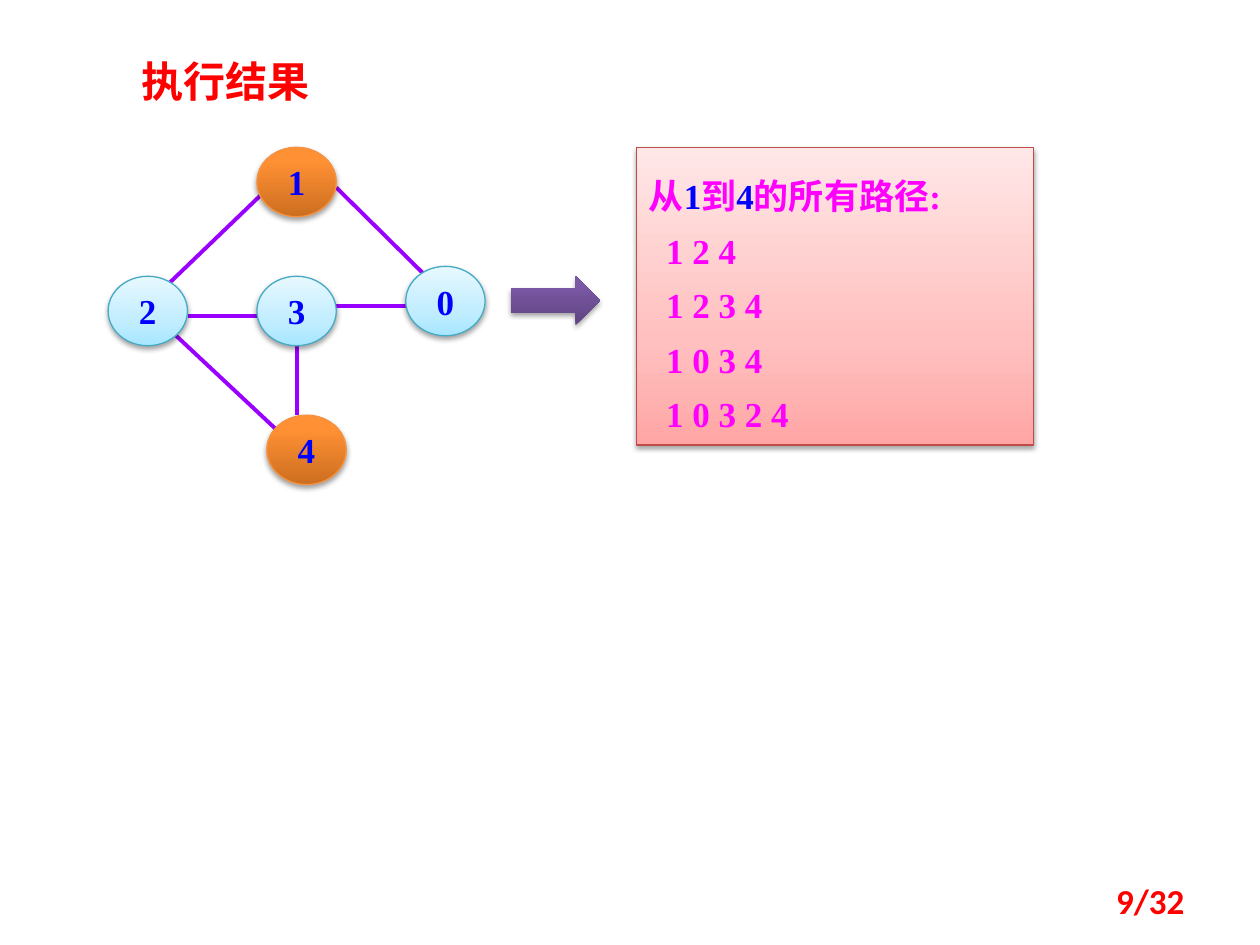
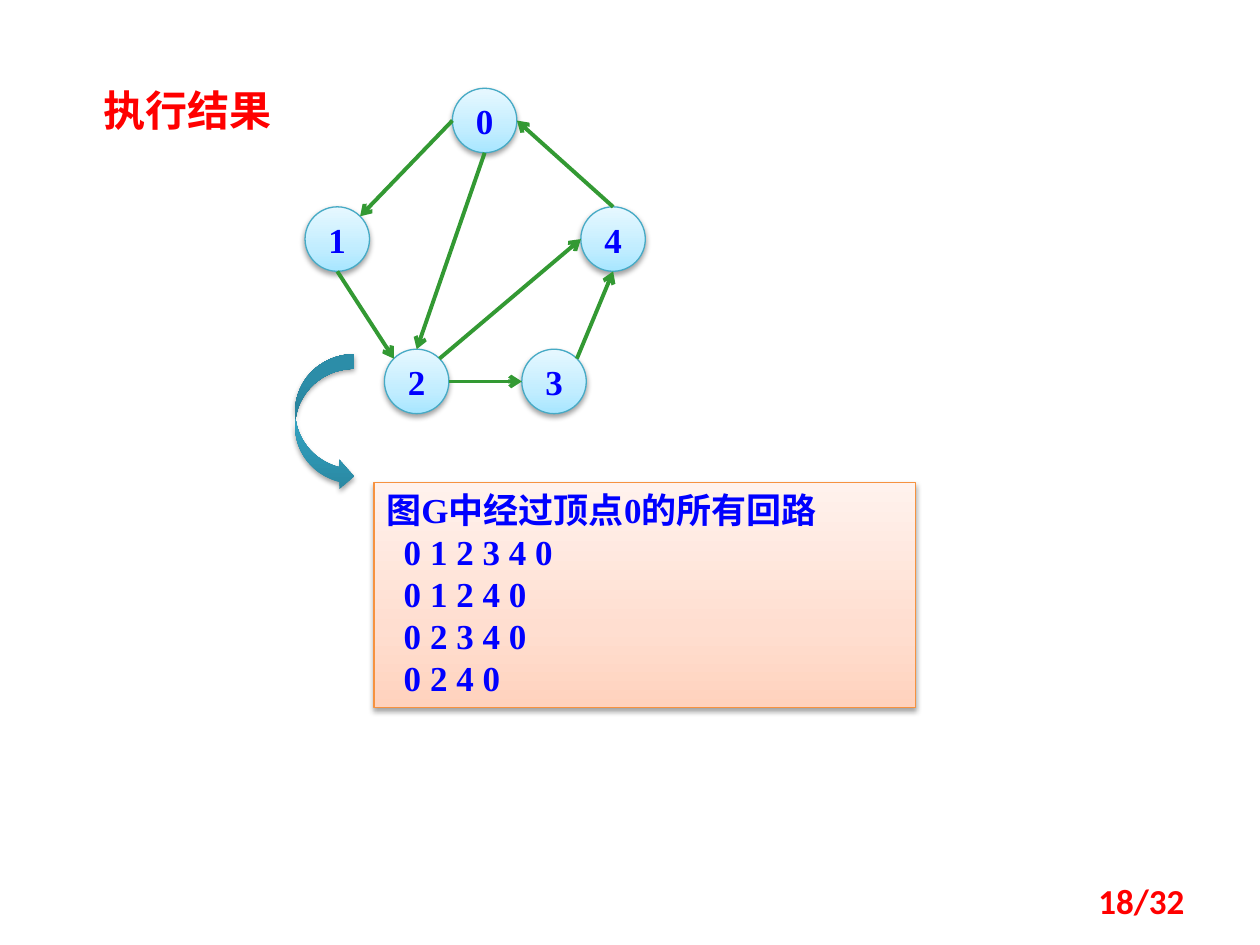
import copy
import math

import pptx
import pptx.dml.color
import pptx.enum.shapes
import pptx.enum.text
import pptx.oxml.ns
import pptx.util
from lxml import etree

Cm = pptx.util.Cm
Pt = pptx.util.Pt
RGBColor = pptx.dml.color.RGBColor
Shape = pptx.enum.shapes.MSO_SHAPE
Align = pptx.enum.text.PP_ALIGN
Anchor = pptx.enum.text.MSO_ANCHOR
qn = pptx.oxml.ns.qn

RED = RGBColor(0xFF, 0x00, 0x00)
BLUE = RGBColor(0x00, 0x00, 0xFF)
MAGENTA = RGBColor(0xFF, 0x00, 0xFF)
VIOLET = RGBColor(0x99, 0x00, 0xFF)
GREEN = RGBColor(0x33, 0x99, 0x33)
SKY_LINE = RGBColor(0x46, 0xAA, 0xC5)
ORANGE_LINE = RGBColor(0xF6, 0x92, 0x40)
ROSE_LINE = RGBColor(0xBF, 0x4C, 0x48)

SOFT_STOPS = (0, 0.35, 1)
STRONG_STOPS = (0, 0.8, 1)
SKY = (RGBColor(0xA7, 0xE6, 0xFF), RGBColor(0xC1, 0xED, 0xFF), RGBColor(0xE7, 0xF8, 0xFF))
ROSE = (RGBColor(0xFF, 0xA6, 0xA5), RGBColor(0xFF, 0xC0, 0xBF), RGBColor(0xFF, 0xE7, 0xE7))
PEACH = (RGBColor(0xFF, 0xD2, 0xBD), RGBColor(0xFF, 0xDE, 0xD0), RGBColor(0xFF, 0xF2, 0xED))
ORANGE = (RGBColor(0xCC, 0x6E, 0x20), RGBColor(0xFF, 0x90, 0x34), RGBColor(0xFF, 0x91, 0x36))
PURPLE = (RGBColor(0x5F, 0x44, 0x80), RGBColor(0x7B, 0x58, 0xA6), RGBColor(0x7C, 0x57, 0xA8))
TEAL = (RGBColor(0x2A, 0x88, 0xA2), RGBColor(0x37, 0xB1, 0xD2), RGBColor(0x34, 0xB4, 0xD6))

SERIF = "Times New Roman"
SANS = "Calibri"
CHINESE = "Noto Sans CJK SC"

COMPASS = {"E": 0, "SE": 45, "S": 90, "SW": 135, "W": 180, "NW": 225, "N": 270, "NE": 315}


def style_paragraph(para, size, name, color):
    para.font.size = Pt(size)
    para.font.bold = True
    para.font.name = name
    para.font.color.rgb = color
    defaults = para._p.get_or_add_pPr().find(qn("a:defRPr"))
    etree.SubElement(defaults, qn("a:ea"), typeface=CHINESE)


def add_glossy_shape(page, kind, box, stops, colors, outline=None):
    shape = page.shapes.add_shape(kind, *map(Cm, box))
    shape.fill.gradient()
    shape.fill.gradient_angle = 90
    stop_list = next(shape._element.iter(qn("a:gsLst")))
    stop_list.append(copy.deepcopy(stop_list[-1]))
    for stop, position, color in zip(shape.fill.gradient_stops, stops, colors):
        stop.position = position
        stop.color.rgb = color
    if outline is None:
        shape.line.fill.background()
    else:
        shape.line.color.rgb = outline
        shape.line.width = Pt(0.75)
    shape.shadow.inherit = False
    effects = shape._element.spPr.find(qn("a:effectLst"))
    shadow = etree.SubElement(
        effects, qn("a:outerShdw"), blurRad=str(Pt(3.1)), dist=str(Pt(1.7)),
        dir="5400000", rotWithShape="0")
    black = etree.SubElement(shadow, qn("a:srgbClr"), val="000000")
    etree.SubElement(black, qn("a:alpha"), val="36000")
    return shape


def add_node(page, box, label, highlighted=False):
    if highlighted:
        look = STRONG_STOPS, ORANGE, ORANGE_LINE
    else:
        look = SOFT_STOPS, SKY, SKY_LINE
    node = add_glossy_shape(page, Shape.OVAL, box, *look)
    frame = node.text_frame
    frame.word_wrap = False
    frame.vertical_anchor = Anchor.MIDDLE
    para = frame.paragraphs[0]
    para.text = label
    para.alignment = Align.CENTER
    style_paragraph(para, 20, SERIF, BLUE)


def add_edge(page, start, end, color, directed=False):
    edge = page.shapes.add_connector(
        pptx.enum.shapes.MSO_CONNECTOR.STRAIGHT, *map(Cm, start + end))
    edge.line.color.rgb = color
    edge.line.width = Pt(2.25)
    if directed:
        etree.SubElement(edge.line._get_or_add_ln(), qn("a:tailEnd"), type="arrow")
    etree.SubElement(edge._element.spPr, qn("a:effectLst"))


def add_undirected_graph(page, left, top):
    edges = [
        ((4.6, 0.81), (6.4, 2.59)),
        ((1.17, 3.61), (3.51, 5.8)),
        ((3.07, 0.97), (1.24, 2.73)),
        ((1.6, 3.4), (3.2, 3.4)),
        ((3.81, 4), (3.81, 5.4)),
        ((4.6, 3.2), (6.2, 3.2)),
    ]
    nodes = {"1": (3, 0), "3": (3, 2.6), "2": (0, 2.6), "4": (3.2, 5.4), "0": (6, 2.4)}
    for (x1, y1), (x2, y2) in edges:
        add_edge(page, (left + x1, top + y1), (left + x2, top + y2), VIOLET)
    for label, (x, y) in nodes.items():
        add_node(page, (left + x, top + y, 1.6, 1.4), label, label in ("1", "4"))


def add_directed_graph(page, left, top):
    diameter = 1.3
    nodes = {"0": (2.97, 0), "3": (4.37, 5.26), "2": (1.6, 5.26),
             "4": (5.56, 2.39), "1": (0, 2.39)}
    edges = [
        ("0", "W", "1", "NE"), ("1", "S", "2", "NW"), ("2", "E", "3", "W"),
        ("3", "NE", "4", "S"), ("4", "N", "0", "E"), ("0", "S", "2", "N"),
        ("2", "NE", "4", "W"),
    ]

    def rim(label, side):
        x, y = nodes[label]
        radius = diameter / 2
        angle = math.radians(COMPASS[side])
        return (left + x + radius * (1 + math.cos(angle)),
                top + y + radius * (1 + math.sin(angle)))

    for label, (x, y) in nodes.items():
        add_node(page, (left + x, top + y, diameter, diameter), label)
    for source, exit_side, target, entry_side in edges:
        add_edge(page, rim(source, exit_side), rim(target, entry_side), GREEN, True)


def add_result_panel(page, box, colors, outline, heading, rows, color,
                     heading_spacing=1.0, row_spacing=1.0):
    panel = add_glossy_shape(page, Shape.RECTANGLE, box, SOFT_STOPS, colors, outline)
    frame = panel.text_frame
    frame.word_wrap = True
    frame.vertical_anchor = Anchor.TOP
    para = frame.paragraphs[0]
    para.line_spacing = heading_spacing
    for text, span_color in heading:
        span = para.add_run()
        span.text = text
        span.font.color.rgb = span_color
    for row in rows:
        row_para = frame.add_paragraph()
        row_para.text = row
        row_para.line_spacing = row_spacing
        row_para._p.get_or_add_pPr().set("marL", str(Cm(0.35)))
    for para in frame.paragraphs:
        para.alignment = Align.LEFT
        style_paragraph(para, 20, SERIF, color)


def add_label(page, box, text, size, name, align, anchor=Anchor.TOP):
    label = page.shapes.add_textbox(*map(Cm, box))
    frame = label.text_frame
    frame.word_wrap = True
    frame.vertical_anchor = anchor
    para = frame.paragraphs[0]
    para.text = text
    para.alignment = align
    style_paragraph(para, size, name, RED)


def add_page(deck, number, title_box, title_align):
    page = deck.slides.add_slide(deck.slide_layouts[6])
    add_label(page, title_box, "执行结果", 24, CHINESE, title_align)
    add_label(page, (18.21, 17.65, 5.92, 1.02), f"{number}/32", 20, SANS,
              Align.RIGHT, Anchor.MIDDLE)
    return page


def build_paths_page(deck):
    page = add_page(deck, 9, (2.6, 1, 6.35, 1.27), Align.LEFT)
    add_undirected_graph(page, 2.18, 2.97)
    heading = [("从", MAGENTA), ("1", BLUE), ("到", MAGENTA), ("4", BLUE),
               ("的所有路径:", MAGENTA)]
    rows = ["1 2 4", "1 2 3 4", "1 0 3 4", "1 0 3 2 4"]
    add_result_panel(page, (12.83, 2.97, 8, 6), ROSE, ROSE_LINE, heading, rows,
                     MAGENTA, 1.5, 1.3)
    add_glossy_shape(page, Shape.RIGHT_ARROW, (10.31, 5.56, 1.79, 1), STRONG_STOPS, PURPLE)


def build_cycles_page(deck):
    page = add_page(deck, 18, (1.2, 1.58, 5.15, 1.27), Align.CENTER)
    heading = [("图G中经过顶点0的所有回路", BLUE)]
    rows = ["0 1 2 3 4 0", "0 1 2 4 0", "0 2 3 4 0", "0 2 4 0"]
    add_result_panel(page, (7.54, 9.73, 10.92, 4.53), PEACH, ORANGE_LINE, heading,
                     rows, BLUE)
    add_directed_graph(page, 6.15, 1.78)
    add_glossy_shape(page, Shape.CURVED_RIGHT_ARROW, (5.95, 7.14, 1.19, 2.76),
                     STRONG_STOPS, TEAL)


def main():
    deck = pptx.Presentation()
    deck.slide_width = Cm(25.4)
    deck.slide_height = Cm(19.05)
    build_paths_page(deck)
    build_cycles_page(deck)
    deck.save("out.pptx")


if __name__ == "__main__":
    main()
